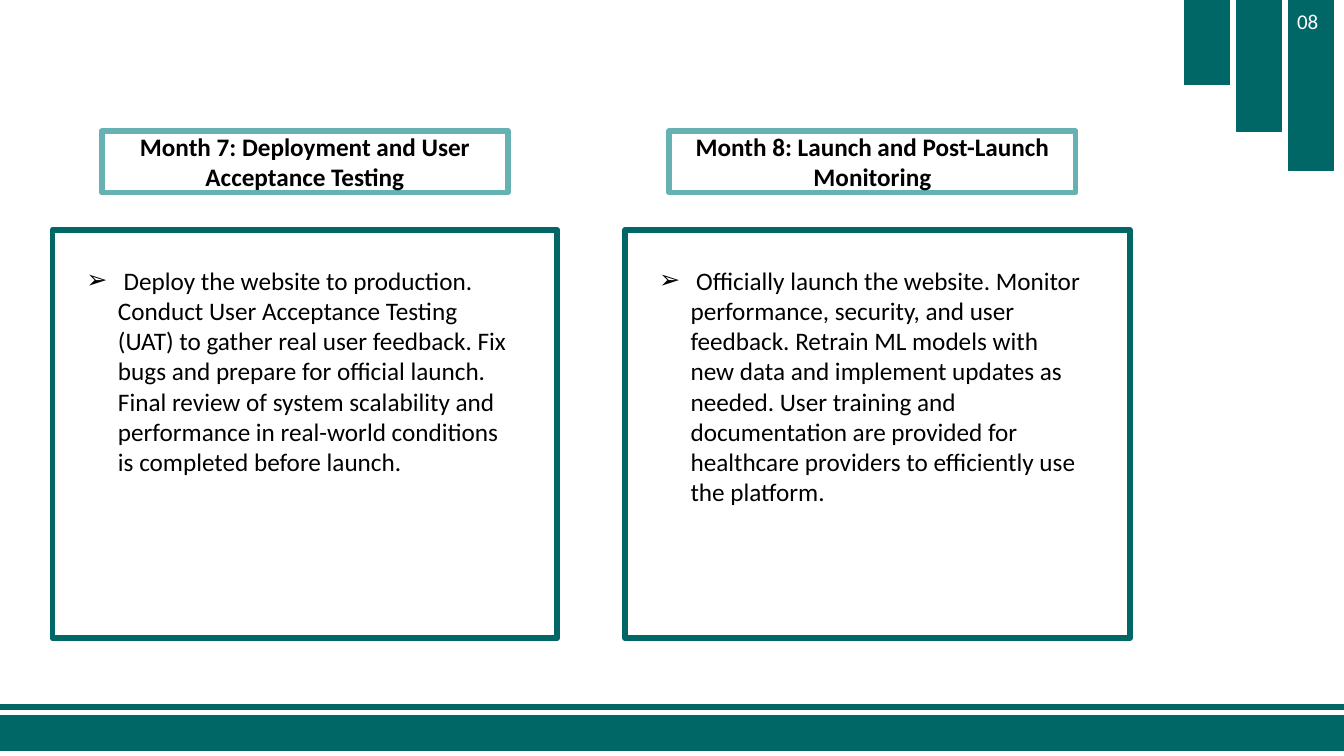
"""Build the slide on months 7 and 8 of the project timeline."""
import pptx
import pptx.dml.color
import pptx.enum.shapes
import pptx.enum.text
import pptx.oxml
import pptx.oxml.ns
import pptx.util

Pt = pptx.util.Pt
TEAL = pptx.dml.color.RGBColor(0x00, 0x66, 0x66)
LIGHT_TEAL = pptx.dml.color.RGBColor(0x66, 0xB2, 0xB2)
WHITE = pptx.dml.color.RGBColor(0xFF, 0xFF, 0xFF)
BLACK = pptx.dml.color.RGBColor(0x00, 0x00, 0x00)

deck = pptx.Presentation()
deck.slide_width = Pt(960)
deck.slide_height = Pt(540)
slide = deck.slides.add_slide(deck.slide_layouts[6])


def add_box(left, top, width, height, fill, outline, weight):
    box = slide.shapes.add_shape(
        pptx.enum.shapes.MSO_SHAPE.RECTANGLE, Pt(left), Pt(top), Pt(width), Pt(height))
    box.shadow.inherit = False
    box.fill.solid()
    box.fill.fore_color.rgb = fill
    box.line.color.rgb = outline
    box.line.width = Pt(weight)
    return box


def write(frame, text, size, color, bold=False):
    frame.word_wrap = True
    paragraph = frame.paragraphs[0]
    run = paragraph.add_run()
    run.text = text
    run.font.name = "Calibri"
    run.font.size = Pt(size)
    run.font.bold = bold
    run.font.color.rgb = color
    return paragraph


for step, bar_height in enumerate([60.5, 93.6, 121.7]):
    add_box(846 + 37.1 * step, 0, 32.4, bar_height, TEAL, TEAL, 1)
for band_top, band_height in [(503.3, 3.6), (511.2, 24.5)]:
    add_box(0, band_top, 960, band_height, TEAL, TEAL, 1)

page_number = slide.shapes.add_textbox(Pt(919.4), Pt(2.2), Pt(32.4), Pt(25.2))
write(page_number.text_frame, "08", 15, WHITE)

months = [
    (37.4, 72.7, "Month 7: Deployment and User Acceptance Testing",
     " Deploy the website to production. Conduct User Acceptance Testing (UAT) to gather "
     "real user feedback. Fix bugs and prepare for official launch. Final review of system "
     "scalability and performance in real-world conditions is completed before launch."),
    (446.4, 478.1, "Month 8: Launch and Post-Launch Monitoring",
     " Officially launch the website. Monitor performance, security, and user feedback. "
     "Retrain ML models with new data and implement updates as needed. User training and "
     "documentation are provided for healthcare providers to efficiently use the platform."),
]
for panel_left, heading_left, month, tasks in months:
    heading = add_box(heading_left, 93.6, 290.2, 43.9, WHITE, LIGHT_TEAL, 4)
    heading.text_frame.vertical_anchor = pptx.enum.text.MSO_ANCHOR.MIDDLE
    title = write(heading.text_frame, month, 18, BLACK, bold=True)
    title.alignment = pptx.enum.text.PP_ALIGN.CENTER

    add_box(panel_left, 164.2, 360.7, 291.6, WHITE, TEAL, 4)
    task_text = slide.shapes.add_textbox(
        Pt(panel_left + 17.3), Pt(185.8), Pt(319.7), Pt(160))
    bullet_item = write(task_text.text_frame, tasks, 18, BLACK)
    properties = bullet_item._p.get_or_add_pPr()
    properties.set("marL", str(Pt(22.5)))
    properties.set("indent", str(Pt(-22.5)))
    properties.append(pptx.oxml.parse_xml(
        f'<a:buFont {pptx.oxml.ns.nsdecls("a")} typeface="Wingdings"/>'))
    properties[-1].set("typeface", "Arial")
    properties.append(pptx.oxml.parse_xml(
        f'<a:buChar {pptx.oxml.ns.nsdecls("a")} char="➢"/>'))

deck.save("out.pptx")
